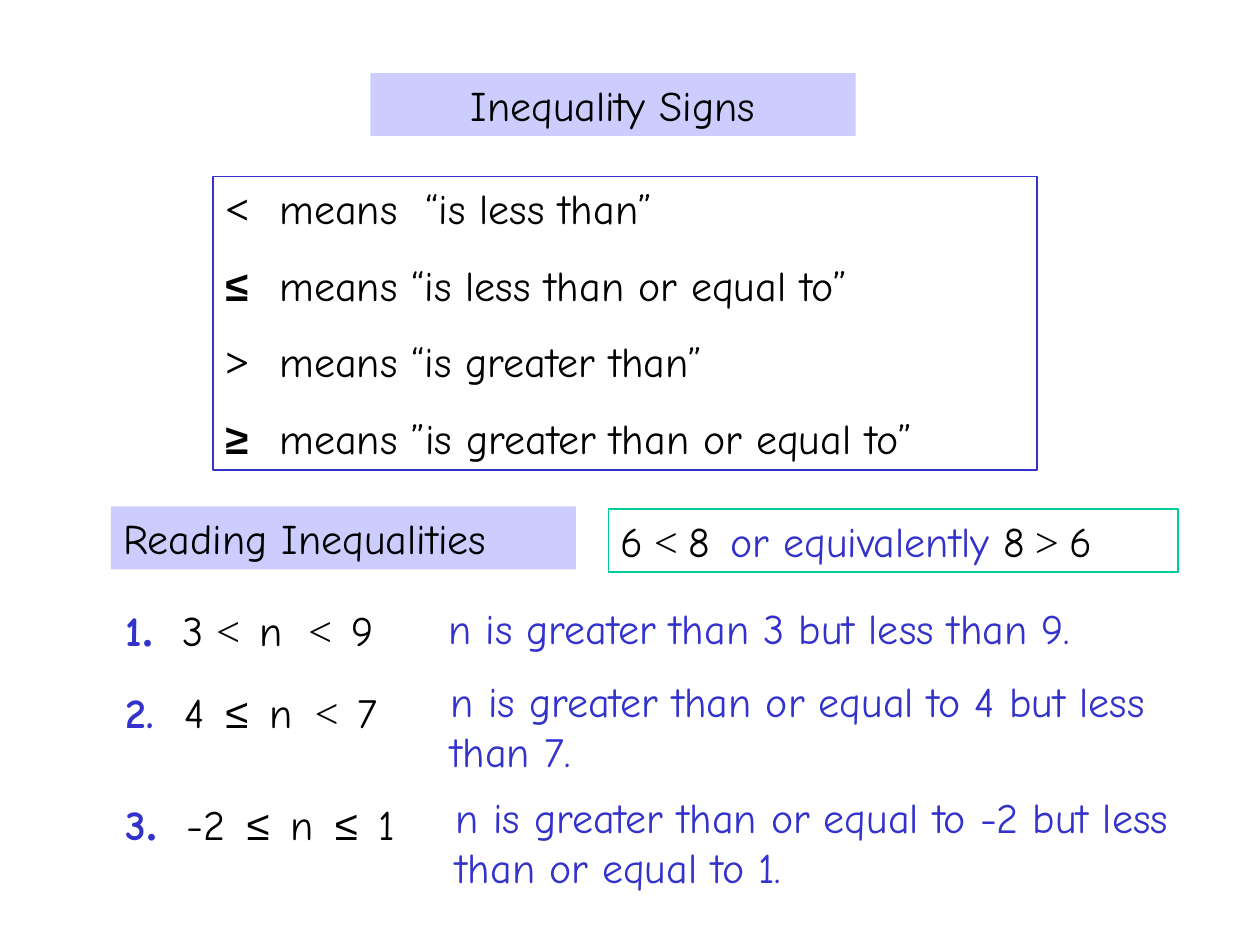
from dataclasses import dataclass
from typing import Optional

from lxml.etree import SubElement
from pptx import Presentation
from pptx.dml.color import RGBColor
from pptx.enum.shapes import MSO_SHAPE as Preset
from pptx.enum.text import MSO_ANCHOR as Anchor, PP_ALIGN as Align
from pptx.oxml.ns import qn
from pptx.util import Inches, Pt

COLUMNS, ROWS, CELL = 100, 75, Inches(0.1)
BLACK, BLUE, LILAC, GREEN = "000000", "3333CC", "CCCCFF", "00CC99"
COMIC, TIMES, ARIAL = "Comic Neue", "Times New Roman", "Arial"


@dataclass(frozen=True)
class Piece:
    """A run of text in one style."""
    text: str
    font: str = COMIC
    color: str = BLACK
    bold: bool = False


@dataclass(frozen=True)
class Line:
    """A paragraph with its tab stops in grid columns."""
    pieces: tuple[Piece, ...]
    tabs: tuple[float, ...] = ()
    align: Align = Align.LEFT


@dataclass(frozen=True)
class Box:
    """A box placed by grid column and row, with its lines."""
    column: float
    row: float
    width: float
    height: float
    lines: tuple[Line, ...]
    fill: Optional[str] = None
    outline: Optional[str] = None


@dataclass(frozen=True)
class Example:
    """A numbered inequality and how it is read aloud."""
    row: float
    number: tuple[Piece, ...]
    terms: tuple[Piece, ...]
    tabs: tuple[float, ...]
    reading: str
    reading_column: float
    reading_row: float
    reading_width: float
    reading_height: float


def rgb(color: str) -> RGBColor:
    """Turn a hex string into a colour."""
    return RGBColor.from_string(color)


def cells(count: float) -> int:
    """Convert grid cells to a length."""
    return round(count * CELL)


def sign(symbol: str, bold: bool = False) -> Piece:
    """Style a relation sign with the font that suits it."""
    return Piece(symbol, ARIAL if symbol in "≤≥" else TIMES, bold=bold)


def write_line(paragraph, line: Line, first: bool) -> None:
    """Write one line into a paragraph, run by run."""
    if line.tabs:
        tab_list = SubElement(paragraph._p.get_or_add_pPr(), qn("a:tabLst"))
        for tab in line.tabs:
            SubElement(tab_list, qn("a:tab"), pos=str(cells(tab)), algn="l")
    paragraph.alignment = line.align
    paragraph.space_before = Pt(0 if first else 15)
    for piece in line.pieces:
        run = paragraph.add_run()
        run.text = piece.text
        run.font.name = piece.font
        run.font.size = Pt(24)
        run.font.bold = piece.bold
        run.font.color.rgb = rgb(piece.color)


def draw_box(slide, box: Box) -> None:
    """Draw a text box, or a rectangle when it has a fill or outline."""
    place = [cells(n) for n in (box.column, box.row, box.width, box.height)]
    if box.fill or box.outline:
        shape = slide.shapes.add_shape(Preset.RECTANGLE, *place)
        shape.shadow.inherit = False
        if box.fill:
            shape.fill.solid()
            shape.fill.fore_color.rgb = rgb(box.fill)
        else:
            shape.fill.background()
        if box.outline:
            shape.line.color.rgb = rgb(box.outline)
            shape.line.width = Pt(0.75)
        else:
            shape.line.fill.background()
    else:
        shape = slide.shapes.add_textbox(*place)
    frame = shape.text_frame
    frame.word_wrap = True
    frame.vertical_anchor = Anchor.TOP
    for index, line in enumerate(box.lines):
        paragraph = frame.add_paragraph() if index else frame.paragraphs[0]
        write_line(paragraph, line, index == 0)


def draw_example(slide, example: Example) -> None:
    """Draw a numbered inequality with its reading beside it."""
    tabbed = [piece for term in example.terms for piece in (Piece("\t"), term)]
    inequality = Line((*example.number, *tabbed), example.tabs)
    draw_box(slide, Box(9, example.row, 32.3, 5, (inequality,)))
    reading = Line((Piece(example.reading, color=BLUE),))
    draw_box(slide, Box(example.reading_column, example.reading_row,
                        example.reading_width, example.reading_height, (reading,)))


def numbered(digit: str, dot_font: str = TIMES) -> tuple[Piece, ...]:
    """Make the bold blue number of an example."""
    return Piece(digit, COMIC, BLUE, True), Piece(".", dot_font, BLUE, True)


MEANINGS = (
    ("<", "means\t“is less than”"),
    ("≤", "means “is less than or equal to”"),
    (">", "means “is greater than”"),
    ("≥", "means ”is greater than or equal to”"),
)
BOXES = (
    Box(29.4, 5.8, 38.5, 5, (Line((Piece("Inequality Signs"),), align=Align.CENTER),),
        fill=LILAC),
    Box(16.9, 14, 65.4, 23.3,
        tuple(Line((sign(symbol, True), Piece("\t" + meaning)), (4.3, 15.9))
              for symbol, meaning in MEANINGS),
        outline=BLUE),
    Box(8.8, 40.2, 36.9, 5, (Line((Piece("Reading Inequalities"),)),), fill=LILAC),
    Box(48.3, 40.4, 45.2, 5,
        (Line((Piece("6"), sign(" < "), Piece("8"), Piece("\tor equivalently ", color=BLUE),
               Piece("8"), sign(" > "), Piece("6")), (8.7,)),),
        outline=GREEN),
)
EXAMPLES = (
    Example(47.5, numbered("1"),
            (Piece("3"), sign("<"), Piece("n"), sign("<"), Piece("9")),
            (4.5, 7.2, 10.6, 14.5, 17.9),
            "n is greater than 3 but less than 9.", 34.6, 47.3, 58.8, 5),
    Example(54, numbered("2", COMIC),
            (Piece("4"), sign("≤"), Piece("n"), sign("<"), Piece("7")),
            (4.7, 7.9, 11.4, 15, 18.4),
            "n is greater than or equal to 4 but less than 7.", 34.8, 53.1, 60.4, 9),
    Example(62.9, numbered("3"),
            (Piece("-2"), sign("≤"), Piece("n"), sign("≤"), Piece("1")),
            (4.8, 9.6, 13.1, 16.6, 20.1),
            "n is greater than or equal to -2 but less than or equal to 1.",
            35.2, 62.3, 60.4, 9),
)


def main() -> None:
    """Build the slide and save it."""
    presentation = Presentation()
    presentation.slide_width = cells(COLUMNS)
    presentation.slide_height = cells(ROWS)
    slide = presentation.slides.add_slide(presentation.slide_layouts[6])
    for box in BOXES:
        draw_box(slide, box)
    for example in EXAMPLES:
        draw_example(slide, example)
    presentation.save("out.pptx")


if __name__ == "__main__":
    main()
